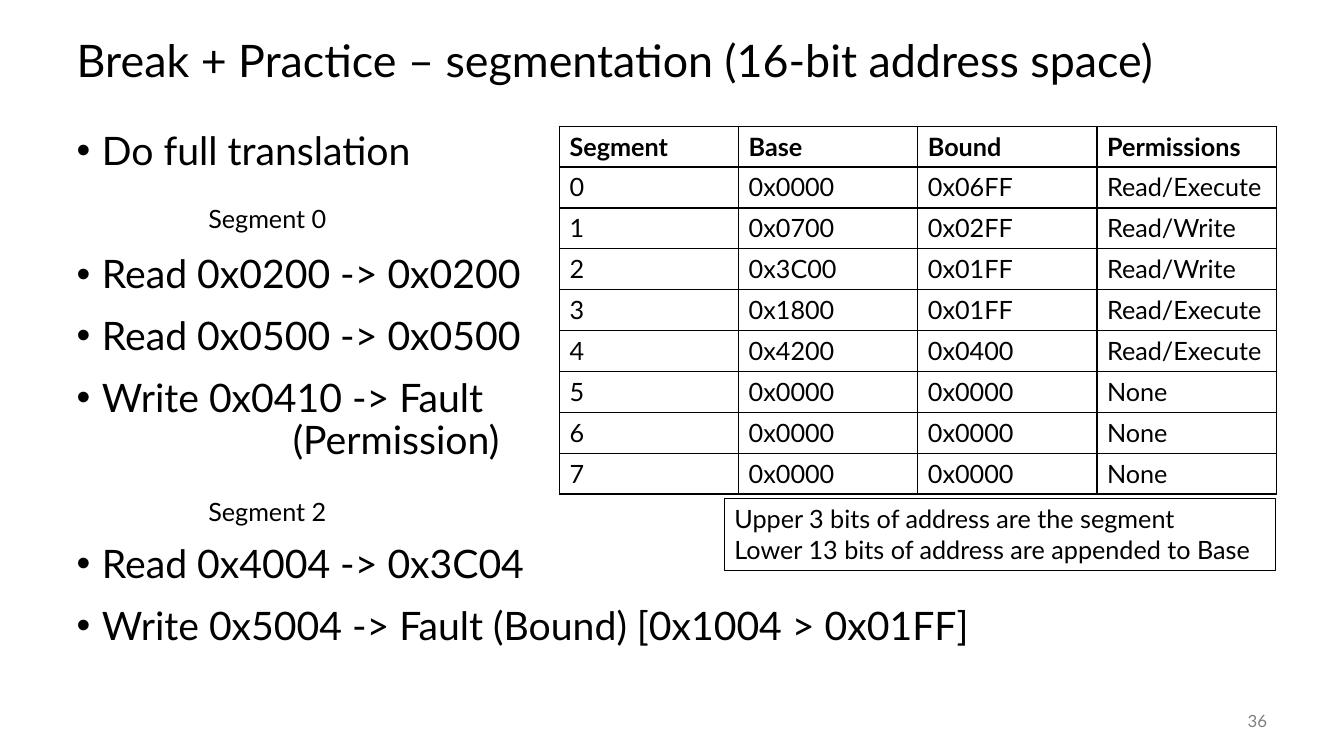
import pptx
import pptx.util
import pptx.dml.color
import pptx.enum.shapes
import pptx.enum.text
import pptx.oxml
import pptx.oxml.ns
from pptx.util import Cm, Pt

BLACK = "000000"
GREY = "808080"
ALIGN = pptx.enum.text.PP_ALIGN
ANCHOR = pptx.enum.text.MSO_ANCHOR


def color(hex_value):
    return pptx.dml.color.RGBColor.from_string(hex_value)


def write(frame, text, size, ink=BLACK, bold=False, align=ALIGN.LEFT):
    frame.text = text
    frame.word_wrap = True
    for paragraph in frame.paragraphs:
        paragraph.alignment = align
        for run in paragraph.runs:
            run.font.name = "Lato"
            run.font.size = Pt(size)
            run.font.bold = bold
            run.font.color.rgb = color(ink)


deck = pptx.Presentation()
deck.slide_width = Cm(33.87)
deck.slide_height = Cm(19.05)
slide = deck.slides.add_slide(deck.slide_layouts[5])

title = slide.shapes.title
title.left, title.top, title.width, title.height = Cm(1.68), Cm(0.64), Cm(30.48), Cm(1.9)
write(title.text_frame, "Break + Practice – segmentation (16-bit address space)", 32)
title.text_frame.auto_size = pptx.enum.text.MSO_AUTO_SIZE.NONE
title.text_frame.vertical_anchor = ANCHOR.MIDDLE
title.text_frame.paragraphs[0].line_spacing = 0.9

GAP = 14
LABEL_GAP = 58
steps = [
    ("Do full translation", 0),
    ("Read 0x0200 -> 0x0200", LABEL_GAP),
    ("Read 0x0500 -> 0x0500", GAP),
    ("Write 0x0410 -> Fault", GAP),
    ("(Permission)", 0),
    ("Read 0x4004 -> 0x3C04", LABEL_GAP),
    ("Write 0x5004 -> Fault (Bound) [0x1004 > 0x01FF]", GAP),
]
exercise = slide.shapes.add_textbox(Cm(1.68), Cm(3.18), Cm(23.75), Cm(13.97)).text_frame
write(exercise, "\n".join(text for text, gap in steps), 28)
for paragraph, (text, gap) in zip(exercise.paragraphs, steps):
    paragraph.line_spacing = 0.9
    paragraph.space_before = Pt(gap)
    properties = paragraph._p.get_or_add_pPr()
    if text == "(Permission)":
        properties.set("marL", str(Cm(5.45)))
    else:
        properties.set("marL", str(Cm(0.64)))
        properties.set("indent", str(-Cm(0.64)))
        bullet_font = pptx.oxml.parse_xml(
            f'<a:buFont {pptx.oxml.ns.nsdecls("a")} typeface="Arial"/>')
        bullet = pptx.oxml.parse_xml(f'<a:buChar {pptx.oxml.ns.nsdecls("a")} char="•"/>')
        properties.extend([bullet_font, bullet])

page_number = slide.shapes.add_textbox(Cm(29.64), Cm(17.65), Cm(2.54), Cm(1.02)).text_frame
write(page_number, "36", 12, GREY, align=ALIGN.RIGHT)
page_number.vertical_anchor = ANCHOR.MIDDLE

segments = [
    ("Segment", "Base", "Bound", "Permissions"),
    ("0", "0x0000", "0x06FF", "Read/Execute"),
    ("1", "0x0700", "0x02FF", "Read/Write"),
    ("2", "0x3C00", "0x01FF", "Read/Write"),
    ("3", "0x1800", "0x01FF", "Read/Execute"),
    ("4", "0x4200", "0x0400", "Read/Execute"),
    ("5", "0x0000", "0x0000", "None"),
    ("6", "0x0000", "0x0000", "None"),
    ("7", "0x0000", "0x0000", "None"),
]
segment_table = slide.shapes.add_table(
    len(segments), 4, Cm(14.1), Cm(3.18), Cm(18.06), Cm(9.27)).table
for row, values in enumerate(segments):
    for column, value in enumerate(values):
        cell = segment_table.cell(row, column)
        write(cell.text_frame, value, 18, bold=row == 0)
        cell.fill.background()
        for position, side in enumerate("LRTB"):
            border = pptx.oxml.parse_xml(
                f'<a:ln{side} {pptx.oxml.ns.nsdecls("a")} w="{Pt(1)}"><a:solidFill>'
                f'<a:srgbClr val="{BLACK}"/></a:solidFill></a:ln{side}>')
            cell._tc.get_or_add_tcPr().insert(position, border)

for label, top in [("Segment 0", 5), ("Segment 2", 12.37)]:
    segment_label = slide.shapes.add_textbox(Cm(5), Cm(top), Cm(7.34), Cm(1.02))
    write(segment_label.text_frame, label, 18)

rule = slide.shapes.add_shape(
    pptx.enum.shapes.MSO_SHAPE.RECTANGLE, Cm(18.26), Cm(12.57), Cm(13.89), Cm(1.8))
rule.shadow.inherit = False
rule.fill.background()
rule.line.color.rgb = color(BLACK)
rule.line.width = Pt(0.75)
write(rule.text_frame, "Upper 3 bits of address are the segment\n"
      "Lower 13 bits of address are appended to Base", 18)
rule.text_frame.vertical_anchor = ANCHOR.TOP

deck.save("out.pptx")
